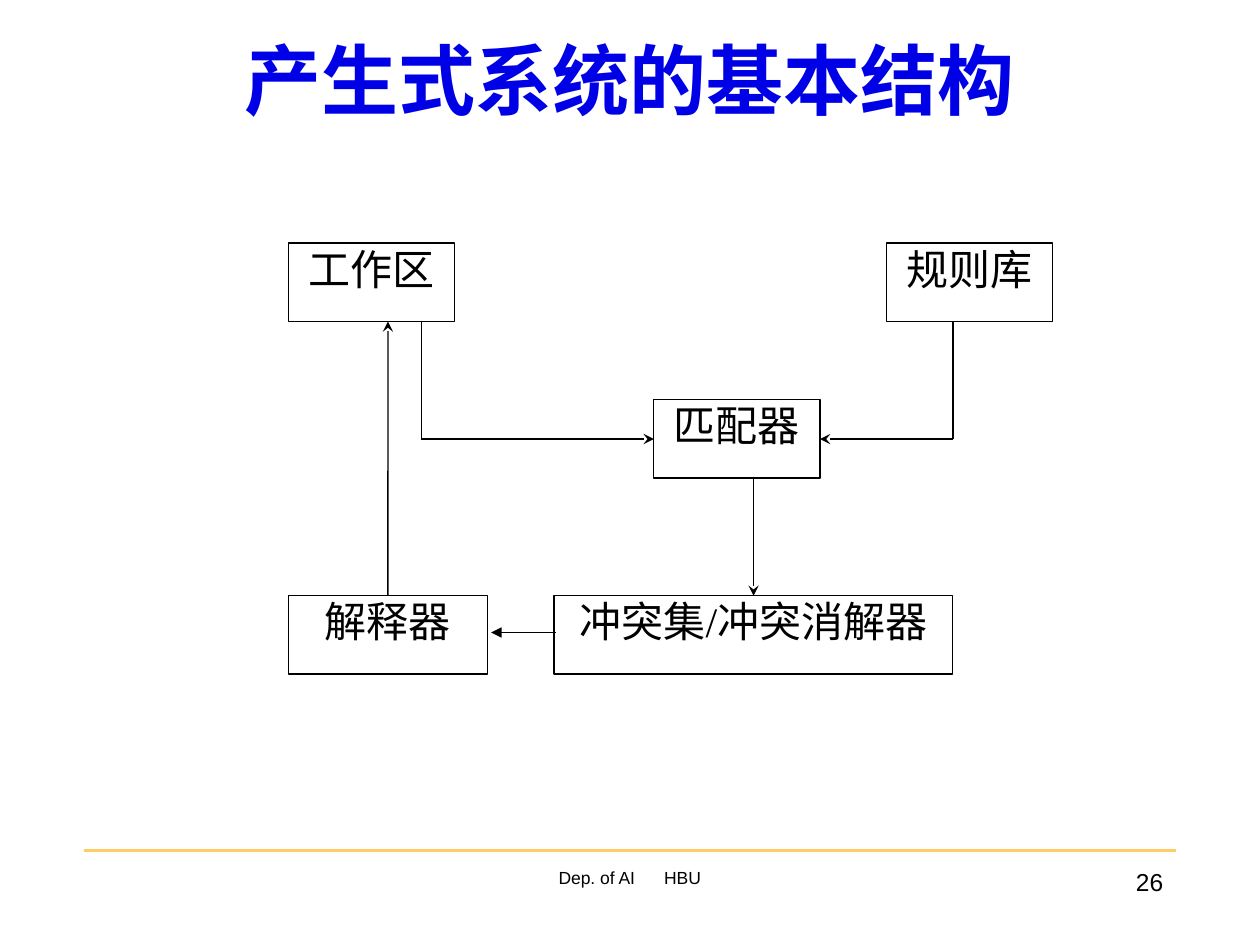
from lxml.etree import SubElement
from pptx import Presentation
from pptx.dml.color import RGBColor
from pptx.enum.shapes import MSO_CONNECTOR, MSO_SHAPE
from pptx.enum.text import MSO_ANCHOR, PP_ALIGN
from pptx.oxml.ns import qn
from pptx.util import Cm, Pt

TOP, LEFT, BOTTOM, RIGHT = range(4)


def color(value):
    return RGBColor.from_string(value)


def grid(column, row):
    return 5.81 + 0.67 * column, 4.9 + 0.79 * row


class SlideBuilder:
    """Hold the style and the current slide, and draw each kind of element."""

    ink = "000000"
    paper = "FFFFFF"
    title_color = "0000E7"
    rule_color = "FFCC66"
    chinese = "Noto Sans CJK SC"
    serif = "Times New Roman"
    sans = "Arial"

    def __init__(self, page):
        self.page = page

    def add_span(self, para, text, size, font, ink=ink, bold=False):
        span = para.add_run()
        span.text = text
        span.font.size = Pt(size)
        span.font.name = font
        span.font.bold = bold
        span.font.color.rgb = color(ink)
        SubElement(span.font._element, qn("a:ea"), typeface=self.chinese)

    def title(self, text, left, top, width, height):
        box = self.page.shapes.title
        box.left, box.top, box.width, box.height = map(Cm, (left, top, width, height))
        box.text_frame.vertical_anchor = MSO_ANCHOR.MIDDLE
        para = box.text_frame.paragraphs[0]
        para.alignment = PP_ALIGN.CENTER
        self.add_span(para, text, 44, self.chinese, self.title_color, True)

    def node(self, text, column, row, columns):
        left, top = grid(column, row)
        box = self.page.shapes.add_shape(
            MSO_SHAPE.RECTANGLE, Cm(left), Cm(top), Cm(0.67 * columns), Cm(1.58))
        box.shadow.inherit = False
        box.fill.solid()
        box.fill.fore_color.rgb = color(self.paper)
        box.line.color.rgb = color(self.ink)
        box.line.width = Pt(0.75)
        frame = box.text_frame
        frame.vertical_anchor = MSO_ANCHOR.TOP
        frame.margin_top = 0
        para = frame.paragraphs[0]
        para.alignment = PP_ALIGN.CENTER
        self.add_span(para, text, 24, self.serif)
        return box

    def line(self, start, end, head=None, width=0.75, ink=ink, source=None, target=None):
        connector = self.page.shapes.add_connector(
            MSO_CONNECTOR.STRAIGHT, *map(Cm, (*start, *end)))
        connector.line.color.rgb = color(ink)
        connector.line.width = Pt(width)
        if head:
            SubElement(connector.line._get_or_add_ln(), qn("a:tailEnd"), type=head)
        SubElement(connector._element.spPr, qn("a:effectLst"))
        if source:
            connector.begin_connect(*source)
        if target:
            connector.end_connect(*target)

    def footer(self, text, left, width, size, alignment, inset=0.25, tab=None):
        box = self.page.shapes.add_textbox(Cm(left), Cm(17.35), Cm(width), Cm(1.27))
        frame = box.text_frame
        frame.word_wrap = True
        frame.margin_left = Cm(inset)
        para = frame.paragraphs[0]
        para.alignment = alignment
        if tab:
            stops = SubElement(para._p.get_or_add_pPr(), qn("a:tabLst"))
            SubElement(stops, qn("a:tab"), pos=str(Cm(tab)), algn="l")
        self.add_span(para, text, size, self.sans)


def main():
    deck = Presentation()
    deck.slide_width, deck.slide_height = Cm(25.4), Cm(19.05)
    slide = SlideBuilder(deck.slides.add_slide(deck.slide_layouts[5]))

    slide.line((1.7, 17.15), (23.7, 17.15), width=1.5, ink=slide.rule_color)
    slide.title("产生式系统的基本结构", 1.9, 0, 21.6, 3.18)

    interpreter = slide.node("解释器", 0, 9, 6)
    resolver = slide.node("冲突集/冲突消解器", 8, 9, 12)
    slide.node("工作区", 0, 0, 5)
    slide.node("规则库", 18, 0, 5)
    matcher = slide.node("匹配器", 11, 4, 5)

    slide.line(grid(3, 9), grid(3, 2), "stealth", source=(interpreter, TOP))
    for column, edge, side in ((4, 11, LEFT), (20, 16, RIGHT)):
        slide.line(grid(column, 2), grid(column, 5))
        slide.line(grid(column, 5), grid(edge, 5), "stealth", target=(matcher, side))
    slide.line(grid(14, 6), grid(14, 9), "stealth", target=(resolver, TOP))
    slide.line((11.2, 12.75), (9.9, 12.75), "triangle", width=1)

    slide.footer("26", 18.42, 5.28, 14, PP_ALIGN.RIGHT)
    slide.footer("Dep. of AI\tHBU", 8.69, 8.05, 10, PP_ALIGN.LEFT, inset=2.57, tab=2.13)
    deck.save("out.pptx")


if __name__ == "__main__":
    main()
